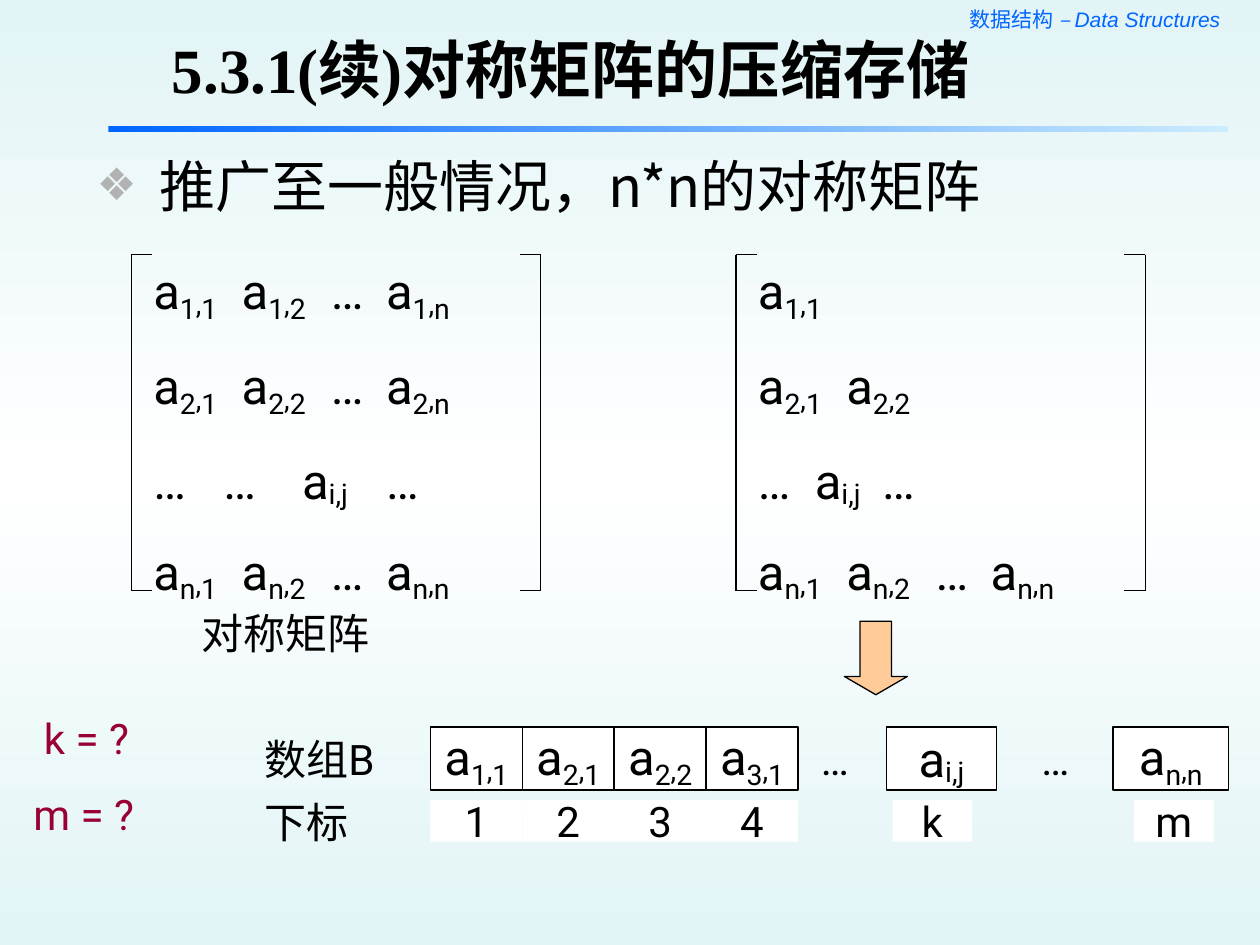
from itertools import groupby

from lxml import etree
from pptx import Presentation
from pptx import util as u
from pptx.dml import color as c
from pptx.enum import shapes, text
from pptx.oxml import ns

BLACK, WHITE, BLUE = "000000", "FFFFFF", "0066FF"
CJK_FONT = "Noto Sans CJK SC"


def rgb(value):
    return c.RGBColor.from_string(value)


def add_xml(parent, tag, **attributes):
    child = etree.SubElement(parent, ns.qn(tag))
    for name, value in attributes.items():
        child.set(name, str(value))
    return child


def write(paragraph, content, size=24, font="Roboto", color=BLACK,
          bold=False, italic=False, baseline=0):
    """Add one formatted run; baseline is a percentage."""
    run = paragraph.add_run()
    run.text = content
    run.font.size, run.font.name = u.Pt(size), font
    run.font.bold, run.font.italic = bold, italic
    run.font.color.rgb = rgb(color)
    properties = run.font._element
    add_xml(properties, "a:ea", typeface=CJK_FONT)
    if baseline:
        properties.set("baseline", str(baseline * 1000))


def entry_baseline(character):
    """Indices sit low, commas and the general index i,j a little higher."""
    if character in "a…\t":
        return 0
    return -10 if character in "i,j" else -20


def write_entries(paragraph, entries):
    for baseline, characters in groupby(entries, entry_baseline):
        write(paragraph, "".join(characters), size=28, baseline=baseline)


def set_tabs(paragraph, stops):
    tab_list = add_xml(paragraph._p.get_or_add_pPr(), "a:tabLst")
    for stop in stops:
        add_xml(tab_list, "a:tab", pos=u.Pt(stop), algn="l")


def set_gradient(fill, element, colors, angle):
    fill.gradient()
    fill.gradient_angle = angle
    stops = element.find(".//" + ns.qn("a:gsLst"))
    for stop in list(stops):
        stops.remove(stop)
    for index, value in enumerate(colors):
        stop = add_xml(stops, "a:gs", pos=index * 100000 // (len(colors) - 1))
        add_xml(stop, "a:srgbClr", val=value)


class SlideBuilder:
    line_width = 0.75

    def __init__(self, slide):
        self.slide = slide

    def placeholder(self, shape, left, top, width, height, anchor):
        shape.left, shape.top = u.Pt(left), u.Pt(top)
        shape.width, shape.height = u.Pt(width), u.Pt(height)
        frame = shape.text_frame
        frame.auto_size = text.MSO_AUTO_SIZE.NONE
        frame.vertical_anchor = anchor
        paragraph = frame.paragraphs[0]
        paragraph.alignment = text.PP_ALIGN.LEFT
        paragraph.space_before = u.Pt(0)
        return paragraph

    def text_box(self, left, top, width, height):
        shape = self.slide.shapes.add_textbox(
            u.Pt(left), u.Pt(top), u.Pt(width), u.Pt(height))
        shape.text_frame.word_wrap = True
        return shape.text_frame

    def label(self, content, left, top, width, height=36, **style):
        write(self.text_box(left, top, width, height).paragraphs[0],
              content, **style)

    def shape(self, kind, left, top, width, height, fill=WHITE, line=BLACK):
        shape = self.slide.shapes.add_shape(
            kind, u.Pt(left), u.Pt(top), u.Pt(width), u.Pt(height))
        shape.shadow.inherit = False
        shape.fill.solid()
        shape.fill.fore_color.rgb = rgb(fill)
        if line:
            shape.line.color.rgb = rgb(line)
            shape.line.width = u.Pt(self.line_width)
        else:
            shape.line.fill.background()
        return shape

    def cell(self, left, top, width, height, line=BLACK):
        shape = self.shape(shapes.MSO_SHAPE.RECTANGLE, left, top, width,
                           height, line=line)
        frame = shape.text_frame
        frame.word_wrap = False
        frame.vertical_anchor = text.MSO_ANCHOR.MIDDLE
        frame.paragraphs[0].alignment = text.PP_ALIGN.CENTER
        return frame.paragraphs[0]

    def line(self, x1, y1, x2, y2):
        connector = self.slide.shapes.add_connector(
            shapes.MSO_CONNECTOR.STRAIGHT,
            u.Pt(x1), u.Pt(y1), u.Pt(x2), u.Pt(y2))
        connector.line.color.rgb = rgb(BLACK)
        connector.line.width = u.Pt(self.line_width)
        add_xml(connector.element.spPr, "a:effectLst")

    def matrix(self, left, rows):
        """Rows are (entries, tab stops); brackets enclose them."""
        top, bottom, width, lip = 145.5, 337.5, 234, 12
        frame = self.text_box(left + 5.5, top, width, 204)
        for index, (entries, stops) in enumerate(rows):
            paragraph = (frame.add_paragraph() if index
                         else frame.paragraphs[0])
            paragraph.space_before = u.Pt(17.5 if index else 0)
            set_tabs(paragraph, stops)
            write_entries(paragraph, entries)
        for edge, inner in ((left, left + lip),
                            (left + width, left + width - lip)):
            self.line(edge, top, edge, bottom)
            for y in (top, bottom):
                self.line(edge, y, inner, y)


def main():
    presentation = Presentation()
    presentation.slide_width, presentation.slide_height = u.Pt(720), u.Pt(540)
    slide = presentation.slides.add_slide(presentation.slide_layouts[1])
    builder = SlideBuilder(slide)

    # Background, running header and rule
    set_gradient(slide.background.fill, slide.element,
                 ("E2F4F6", WHITE, "E2F4F6"), 90)
    header = builder.text_box(432, 0, 272.5, 22).paragraphs[0]
    header.alignment = text.PP_ALIGN.RIGHT
    write(header, "数据结构 ", size=12, font="Times New Roman", color=BLUE)
    write(header, "– Data Structures", size=12, font="Arial", color=BLUE,
          italic=True)
    rule = builder.shape(shapes.MSO_SHAPE.RECTANGLE, 62, 72, 640, 3.5,
                         line=None)
    set_gradient(rule.fill, rule.element, (BLUE, "CCECFF"), 0)

    # Title and bullet
    title = builder.placeholder(slide.shapes.title, 91, 31, 541, 33,
                                text.MSO_ANCHOR.BOTTOM)
    write(title, "5.3.1(续)对称矩阵的压缩存储", size=36,
          font="Times New Roman", bold=True)
    bullet = builder.placeholder(slide.placeholders[1], 48, 83, 660, 46,
                                 text.MSO_ANCHOR.TOP)
    properties = bullet._p.get_or_add_pPr()
    properties.set("marL", str(u.Pt(36)))
    properties.set("indent", str(u.Pt(-36)))
    add_xml(add_xml(properties, "a:buClr"), "a:srgbClr", val="B2B2B2")
    add_xml(properties, "a:buSzPct", val=80000)
    add_xml(properties, "a:buChar", char="❖")
    write(bullet, "推广至一般情况，n*n的对称矩阵", size=32, font=CJK_FONT)

    # Full matrix and its lower triangle
    columns = (50.5, 101.5, 133)
    last_row = ("an,1\tan,2\t…\tan,n", columns)
    builder.matrix(75, [("a1,1\ta1,2\t…\ta1,n", columns),
                        ("a2,1\ta2,2\t…\ta2,n", columns),
                        ("…\t…\tai,j\t…", (40, 85, 133)),
                        last_row])
    builder.matrix(420.5, [("a1,1", columns),
                           ("a2,1\ta2,2", columns),
                           ("…\tai,j\t…", (32.5, 71)),
                           last_row])
    builder.label("对称矩阵", 108, 343.5, 114)
    arrow = builder.shape(shapes.MSO_SHAPE.DOWN_ARROW, 482.5, 355, 36, 42,
                          fill="FFCC99")
    arrow.adjustments[1] = 0.29

    # Array B with its indices
    array_top, index_top, cell_width = 415.5, 457, 52.5
    builder.label("数组B", 144, array_top, 90)
    builder.label("下标", 144, 451.5, 90)
    array_cells = [("ai,j", 506.5, 63), ("an,n", 636, 66)]
    index_cells = [("k", 510, 45.5), ("m", 648, 45.5)]
    for number, entry in enumerate(("a1,1", "a2,1", "a2,2", "a3,1")):
        left = 246 + number * cell_width
        array_cells.append((entry, left, cell_width))
        index_cells.append((str(number + 1), left, cell_width))
    for entry, left, width in array_cells:
        write_entries(builder.cell(left, array_top, width, 36), entry)
    for index, left, width in index_cells:
        write(builder.cell(left, index_top, width, 24, line=None), index)
    for left in (462, 588):
        builder.label("…", left, array_top, 42)

    # Questions
    questions = builder.text_box(12, 403.5, 120, 80)
    first, second = questions.paragraphs[0], questions.add_paragraph()
    first._p.get_or_add_pPr().set("marL", str(u.Pt(6)))
    second.space_before = u.Pt(15)
    write(first, "k = ?", color="990033")
    write(second, "m = ?", color="990033")

    presentation.save("out.pptx")


if __name__ == "__main__":
    main()
